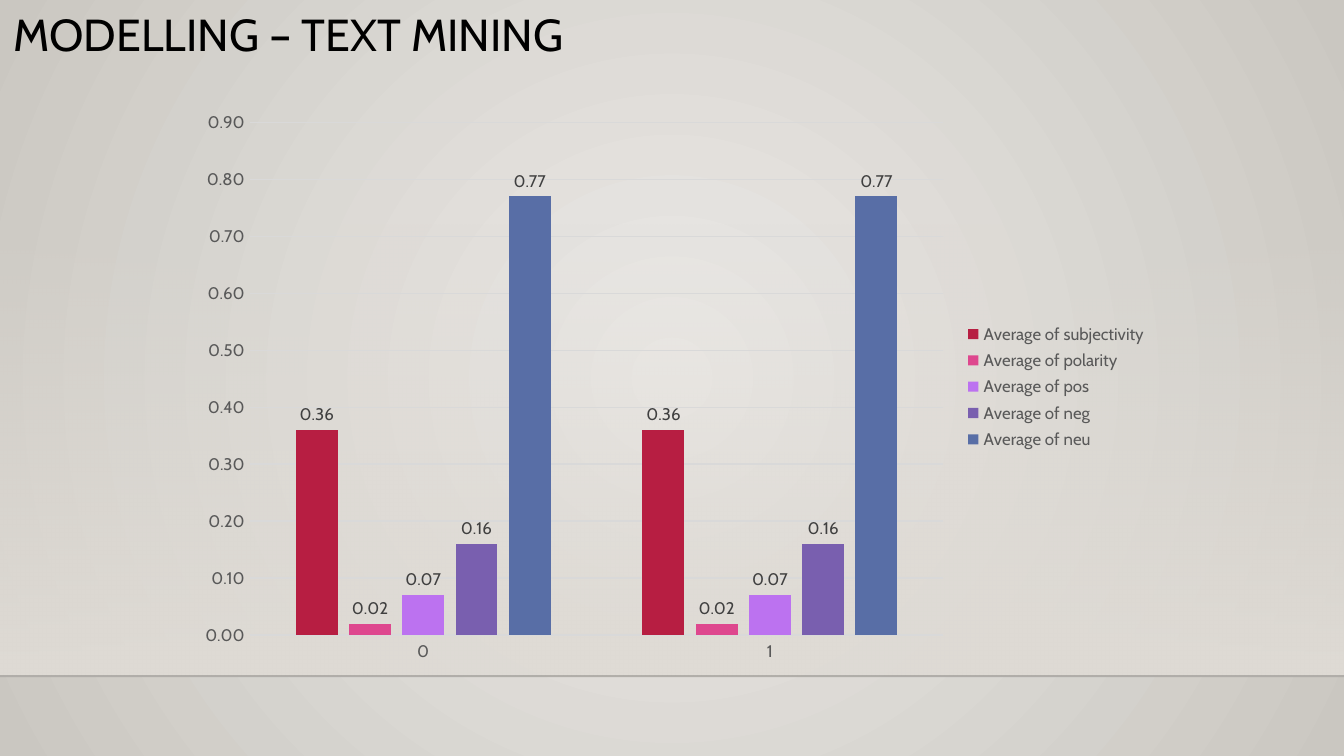
"""Build the text mining slide with its clustered column chart."""
from dataclasses import dataclass
from typing import Any

from lxml import etree
from pptx import Presentation, util as u
from pptx.chart import data as cd
from pptx.dml.color import RGBColor
from pptx.enum import chart as ch, shapes, text
from pptx.oxml import parse_xml
from pptx.oxml.ns import nsdecls, qn

COLORS = {
    "bg_center": "ECEAE7", "bg_edge": "CAC7C1", "floor": "DFDBD5", "edge": "000001",
    "title": "000000", "axis": "595959", "label": "404040", "grid": "D9D9D9",
    "subjectivity": "B71E42", "polarity": "DE478E", "pos": "BC72F0",
    "neg": "795FAF", "neu": "586EA6",
}
FONT = "Cabin"
WIDTH, HEIGHT, FLOOR_Y = u.Cm(25.4), u.Cm(14.29), u.Cm(12.78)
RADIAL = '<a:path path="circle"><a:fillToRect l="50000" t="50000" r="50000" b="50000"/></a:path>'
DOWNWARD = '<a:lin ang="5400000" scaled="0"/>'


@dataclass(frozen=True)
class Measure:
    """One averaged measure with its value for each category."""
    name: str
    values: tuple[float, float]


@dataclass(frozen=True)
class Stop:
    """One gradient stop, with position and opacity in percent."""
    pos: int
    color: str
    alpha: int = 100


MEASURES = [
    Measure("subjectivity", (0.36, 0.36)),
    Measure("polarity", (0.02, 0.02)),
    Measure("pos", (0.07, 0.07)),
    Measure("neg", (0.16, 0.16)),
    Measure("neu", (0.77, 0.77)),
]


def rgb(key: str) -> RGBColor:
    """Return a named colour."""
    return RGBColor.from_string(COLORS[key])


def apply(obj: Any, fmt: dict[str, Any]) -> None:
    """Set each attribute listed in a format dict."""
    for name, value in fmt.items():
        setattr(obj, name, value)


def style_font(font: Any, size: float, color: str) -> None:
    """Set the face, size and colour of a font."""
    apply(font, {"name": FONT, "size": u.Pt(size), "bold": False})
    font.color.rgb = rgb(color)


def set_gradient(fill: Any, root: Any, stops: list[Stop], shade: str) -> None:
    """Give a fill a gradient with the stops and shading direction."""
    fill.gradient()
    gs = "".join(
        f'<a:gs pos="{st.pos * 1000}"><a:srgbClr val="{COLORS[st.color]}">'
        f'<a:alpha val="{st.alpha * 1000}"/></a:srgbClr></a:gs>' for st in stops)
    old = root.find(".//" + qn("a:gradFill"))
    old.getparent().replace(old, parse_xml(
        f'<a:gradFill {nsdecls("a")} rotWithShape="1"><a:gsLst>{gs}</a:gsLst>{shade}</a:gradFill>'))


def add_backdrop(s: Any) -> None:
    """Draw the background, the fading wall and the floor edge."""
    set_gradient(s.background.fill, s.element, [Stop(0, "bg_center"), Stop(100, "bg_edge")], RADIAL)
    top = u.Cm(4.22)
    sp = s.shapes.add_shape(shapes.MSO_SHAPE.RECTANGLE, 0, top, WIDTH, FLOOR_Y - top)
    sp.shadow.inherit = False
    sp.line.fill.background()
    set_gradient(sp.fill, sp.element, [Stop(0, "floor", 0), Stop(100, "floor")], DOWNWARD)
    edge = s.shapes.add_connector(shapes.MSO_CONNECTOR.STRAIGHT, 0, FLOOR_Y, WIDTH, FLOOR_Y)
    edge.line.width = u.Pt(1)
    edge.line.color.rgb = rgb("edge")
    clr = edge.element.spPr.find(".//" + qn("a:srgbClr"))
    etree.SubElement(clr, qn("a:alpha"), val="20000")
    etree.SubElement(edge.element.spPr, qn("a:effectLst"))


def add_title(s: Any, title: str) -> None:
    """Write the slide title."""
    tf = s.shapes.add_textbox(0, 0, u.Cm(19.56), u.Cm(1.63)).text_frame
    inset = u.Cm(0.25)
    apply(tf, {"word_wrap": True, "vertical_anchor": text.MSO_ANCHOR.TOP,
               "margin_left": inset, "margin_right": inset,
               "margin_top": inset, "margin_bottom": inset})
    p = tf.paragraphs[0]
    p.line_spacing = 0.9
    r = p.add_run()
    r.text = title
    style_font(r.font, 24, "title")
    r.font.bold = False


def style_axes(chart: Any) -> None:
    """Format both axes and the gridlines."""
    ticks = {"major_tick_mark": ch.XL_TICK_MARK.NONE, "minor_tick_mark": ch.XL_TICK_MARK.NONE}
    cat, val = chart.category_axis, chart.value_axis
    for axis in (cat, val):
        apply(axis, ticks)
        style_font(axis.tick_labels.font, 9, "axis")
    apply(val, {"minimum_scale": 0, "maximum_scale": 0.9, "major_unit": 0.1,
                "has_major_gridlines": True})
    apply(val.tick_labels, {"number_format": "0.00", "number_format_is_linked": False})
    val.format.line.fill.background()
    for line in (cat.format.line, val.major_gridlines.format.line):
        line.width = u.Pt(0.75)
        line.color.rgb = rgb("grid")


def add_measure_chart(s: Any, measures: list[Measure]) -> None:
    """Draw the clustered columns with labels and legend."""
    data = cd.CategoryChartData(number_format="0.00")
    data.categories = ["0", "1"]
    for m in measures:
        data.add_series(f"Average of {m.name}", m.values)
    chart = s.shapes.add_chart(ch.XL_CHART_TYPE.COLUMN_CLUSTERED, u.Cm(3.51), u.Cm(1.9),
                               u.Cm(18.42), u.Cm(10.82), data).chart
    style_font(chart.font, 10, "title")
    apply(chart, {"has_title": False, "has_legend": True})
    apply(chart.legend, {"position": ch.XL_LEGEND_POSITION.RIGHT, "include_in_layout": False})
    style_font(chart.legend.font, 9, "axis")
    style_axes(chart)
    plot = chart.plots[0]
    apply(plot, {"gap_width": 219, "overlap": -27, "vary_by_categories": False})
    for series, m in zip(plot.series, measures):
        series.format.fill.solid()
        series.format.fill.fore_color.rgb = rgb(m.name)
        labels = series.data_labels
        apply(labels, {"show_value": True, "position": ch.XL_LABEL_POSITION.OUTSIDE_END,
                       "number_format": "0.00", "number_format_is_linked": False})
        style_font(labels.font, 9, "label")


def main() -> None:
    """Build and save the slide."""
    prs = Presentation()
    apply(prs, {"slide_width": WIDTH, "slide_height": HEIGHT})
    s = prs.slides.add_slide(prs.slide_layouts[6])
    add_backdrop(s)
    add_title(s, "MODELLING – TEXT MINING")
    add_measure_chart(s, MEASURES)
    prs.save("out.pptx")


if __name__ == "__main__":
    main()
